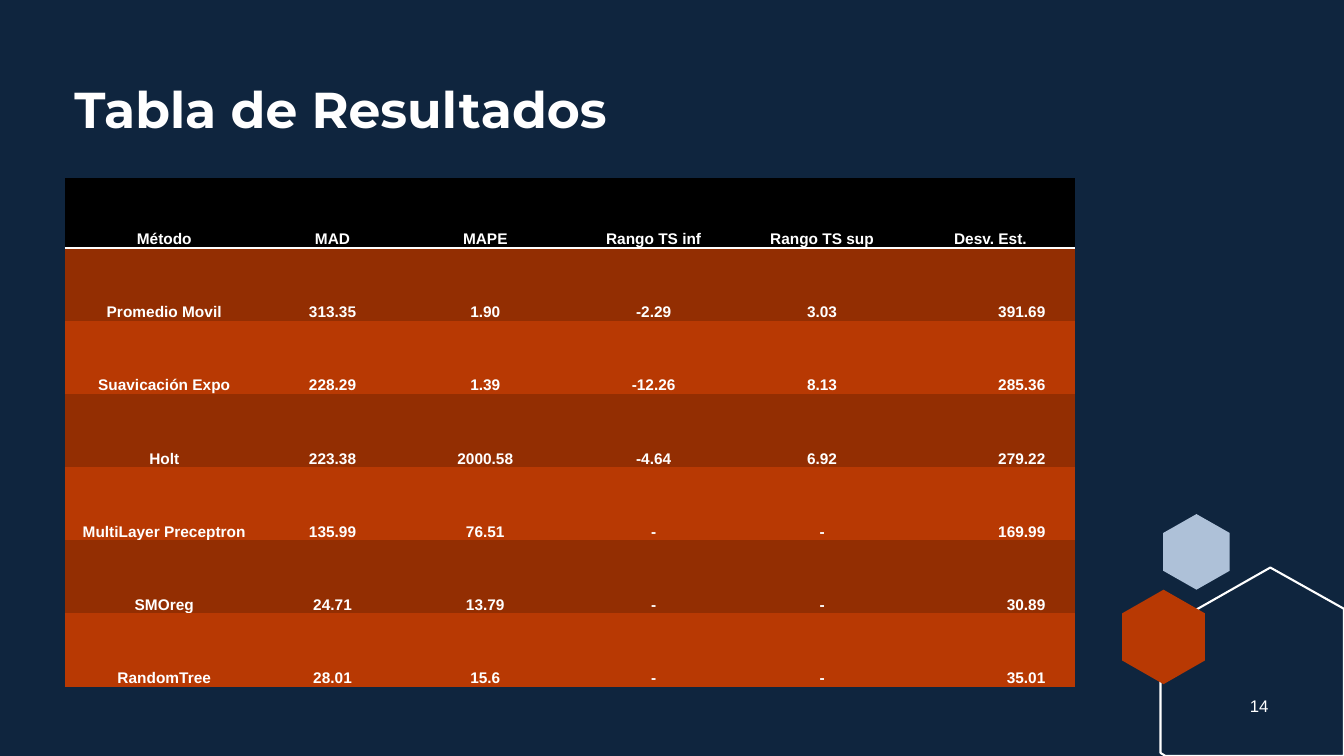
from lxml.etree import SubElement
from pptx import Presentation
from pptx.dml.color import RGBColor
from pptx.enum.text import MSO_ANCHOR, PP_ALIGN
from pptx.oxml import parse_xml
from pptx.oxml.ns import nsdecls, qn
from pptx.util import Inches, Pt

WIDE, HIGH = Inches(13.33), Inches(7.5)
NAVY, WHITE, BLACK = "0F253E", "FFFFFF", "000000"
PALE, RUST, DARK = "AEC1D8", "B83903", "932E02"
NO_GRID = "{2D5ABB26-0587-4C30-8999-92F81FD0307C}"
HEX = [(0.5, 0), (1, 0.25), (1, 0.75), (0.5, 1), (0, 0.75), (0, 0.25)]
FRAME = [(94.52, 75.07), (100, 80.53), (100, 100),
         (86.72, 100), (86.35, 99.6), (86.35, 83.33)]
COLS = [14.85, 10.2] + [12.53] * 4
ROWS = [9.2] + [9.67] * 6
DATA = [
    ["Método", "MAD", "MAPE", "Rango TS inf", "Rango TS sup", "Desv. Est."],
    ["Promedio Movil", "313.35", "1.90", "-2.29", "3.03", "391.69"],
    ["Suavicación Expo", "228.29", "1.39", "-12.26", "8.13", "285.36"],
    ["Holt", "223.38", "2000.58", "-4.64", "6.92", "279.22"],
    ["MultiLayer Preceptron", "135.99", "76.51", "-", "-", "169.99"],
    ["SMOreg", "24.71", "13.79", "-", "-", "30.89"],
    ["RandomTree", "28.01", "15.6", "-", "-", "35.01"],
]


def color(code):
    """Turn a hex string into a colour."""
    return RGBColor.from_string(code)


def across(share):
    """Turn a percentage of the slide's width into a length."""
    return round(WIDE * share / 100)


def down(share):
    """Turn a percentage of the slide's height into a length."""
    return round(HIGH * share / 100)


def write(frame, text, size=11, font="Arial", bold=False,
          align=PP_ALIGN.CENTER, space=None):
    """Put one formatted white line of text in a frame."""
    para = frame.paragraphs[0]
    para.alignment = align
    para.line_spacing = space
    run = para.add_run()
    run.text = text
    run.font.size = Pt(size)
    run.font.name = font
    run.font.bold = bold
    run.font.color.rgb = color(WHITE)


def label(slide, text, x, y, w, h, anchor=MSO_ANCHOR.TOP, **style):
    """Add a wrapped text box."""
    box = slide.shapes.add_textbox(across(x), down(y), across(w), down(h))
    box.text_frame.word_wrap = True
    box.text_frame.vertical_anchor = anchor
    write(box.text_frame, text, **style)


def outline(slide, points, fill=None, line=None):
    """Add a closed polygon with a fill or a line."""
    spots = [(across(x), down(y)) for x, y in points]
    build = slide.shapes.build_freeform(*spots[0])
    build.add_line_segments(spots[1:], close=True)
    shape = build.convert_to_shape()
    shape.shadow.inherit = False
    if fill:
        shape.fill.solid()
        shape.fill.fore_color.rgb = color(fill)
    else:
        shape.fill.background()
    if line:
        shape.line.color.rgb = color(line)
        shape.line.width = Pt(1.5)
    else:
        shape.line.fill.background()


def hexagon(slide, x, y, w, h, fill):
    """Add an upright filled hexagon."""
    outline(slide, [(x + w * a, y + h * b) for a, b in HEX], fill=fill)


def underline(cell):
    """Draw a white rule below a cell."""
    rule = parse_xml(f'<a:lnB {nsdecls("a")} w="{Pt(2)}"/>')
    paint = SubElement(rule, qn("a:solidFill"))
    SubElement(paint, qn("a:srgbClr"), val=WHITE)
    cell._tc.get_or_add_tcPr().insert(0, rule)


def fill_cell(cell, text, row, col):
    """Format one table cell by its row and column."""
    figure = row > 0 and col == len(COLS) - 1
    cell.margin_left = cell.margin_top = Inches(0.01)
    cell.margin_right = Inches(0.29 if figure else 0.01)
    cell.margin_bottom = 0
    cell.vertical_anchor = MSO_ANCHOR.BOTTOM
    cell.fill.solid()
    back = (DARK if row % 2 else RUST) if row else BLACK
    cell.fill.fore_color.rgb = color(back)
    write(cell.text_frame, text, bold=True,
          align=PP_ALIGN.RIGHT if figure else PP_ALIGN.CENTER)
    if row == 0:
        underline(cell)


def results(slide, x, y):
    """Add the table of results."""
    table = slide.shapes.add_table(
        len(ROWS), len(COLS), across(x), down(y),
        across(sum(COLS)), down(sum(ROWS))).table
    table._tbl.tblPr.find(qn("a:tableStyleId")).text = NO_GRID
    for col, share in zip(table.columns, COLS):
        col.width = across(share)
    for row, share in zip(table.rows, ROWS):
        row.height = down(share)
    for i, line in enumerate(DATA):
        for j, text in enumerate(line):
            fill_cell(table.cell(i, j), text, i, j)


def main():
    """Build and save the slide."""
    deck = Presentation()
    deck.slide_width, deck.slide_height = WIDE, HIGH
    slide = deck.slides.add_slide(deck.slide_layouts[6])
    slide.background.fill.solid()
    slide.background.fill.fore_color.rgb = color(NAVY)
    hexagon(slide, 86.55, 68, 4.95, 10, PALE)
    outline(slide, FRAME, line=WHITE)
    hexagon(slide, 83.5, 78, 6.15, 12.5, RUST)
    label(slide, "Tabla de Resultados", 4.8, 10.53, 89.35, 20.67, size=36,
          font="Montserrat", bold=True, align=PP_ALIGN.LEFT, space=0.9)
    results(slide, 4.8, 23.6)
    label(slide, "14", 91.82, 90.67, 3.75, 5.33,
          anchor=MSO_ANCHOR.MIDDLE, size=12)
    deck.save("out.pptx")


if __name__ == "__main__":
    main()
